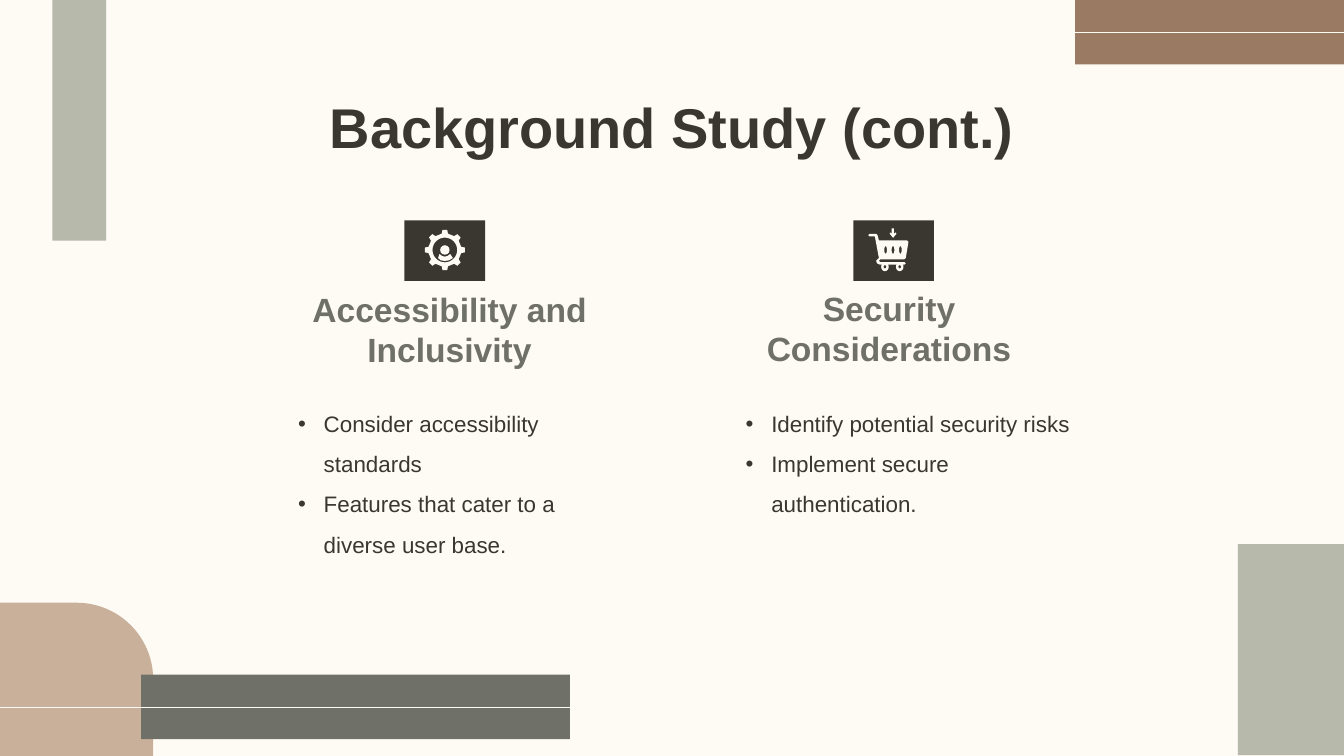
from math import cos, sin, pi

from lxml.etree import SubElement
from pptx import Presentation
from pptx.dml.color import RGBColor
from pptx.enum.shapes import MSO_CONNECTOR as Link, MSO_SHAPE as Kind
from pptx.enum.text import MSO_ANCHOR as Anchor, PP_ALIGN as Align
from pptx.oxml.ns import qn
from pptx.util import Inches, Pt

COLORS = {"cream": "FEFAF4", "tan": "C9B09A", "olive": "6F7067",
          "sage": "B7B9AB", "brown": "9A7A63", "ink": "3A3730"}
COLUMNS, ROWS, CELL = 100, 56.25, 0.1

TITLE = ("Background Study (cont.)", (7.9, 5.9, 84.2, 6.3))
TOPICS = [
    {"heading": "Accessibility and Inclusivity", "heading_at": (20.9, 20.8, 25.1, 7.7),
     "points": ["Consider accessibility standards",
                "Features that cater to a diverse user base."],
     "points_at": (21.2, 28.5, 26.5, 8.9), "tile_at": (30.1, 16.4, 6, 4.5)},
    {"heading": "Security Considerations", "heading_at": (53.6, 22.7, 25.1, 5.7),
     "points": ["Identify potential security risks",
                "Implement secure authentication."],
     "points_at": (54.5, 28.5, 27.5, 8.9), "tile_at": (63.5, 16.4, 6, 4.5)},
]
BLOCKS = [
    (Kind.ROUND_1_RECTANGLE, "tan", (0, 44.85, 11.4, 11.4)),
    (Kind.RECTANGLE, "olive", (10.5, 50.2, 31.9, 4.8)),
    (Kind.RECTANGLE, "sage", (92.1, 40.5, 7.9, 15.7)),
    (Kind.RECTANGLE, "brown", (80, 0, 20, 4.8)),
    (Kind.RECTANGLE, "sage", (3.9, 0, 4, 17.9)),
]
RULES = [(42.4, 0, 52.65), (100, 80, 2.4)]
STYLES = {
    "title": {"size": Pt(30), "bold": True, "color": "ink"},
    "heading": {"size": Pt(18), "bold": True, "color": "olive"},
    "point": {"size": Pt(12), "bold": False, "color": "ink"},
}

GEAR_CENTER, TEETH = (33.1, 18.6), 8
TOOTH = [(-0.5, 1.21), (-0.24, 1.24), (-0.15, 1.5), (0.15, 1.5), (0.24, 1.24)]
SMILE = [(32.7, 18.9), (32.9, 19.05), (33.1, 19.1), (33.3, 19.05), (33.5, 18.9),
         (33.7, 19.2), (33.4, 19.38), (33.1, 19.42), (32.8, 19.38), (32.6, 19.2)]
CART = [(64.7, 17.4), (65.2, 17.4), (65.3, 17.5), (65.4, 17.9), (67.5, 17.9),
        (67.6, 18), (67.4, 19.2), (67.3, 19.3), (65.5, 19.3), (65.4, 19.4),
        (65.5, 19.5), (67.3, 19.5), (67.4, 19.6), (67.3, 19.7), (65.5, 19.7),
        (65.25, 19.6), (65.2, 19.4), (65.4, 19.2), (65.1, 17.6), (64.7, 17.6),
        (64.6, 17.5)]
SLOTS, WHEELS = (65.9, 66.45, 67), (65.85, 66.95)
ARROW = [(66.35, 17), (66.5, 17), (66.5, 17.4), (66.65, 17.3), (66.7, 17.4),
         (66.45, 17.7), (66.2, 17.4), (66.25, 17.3), (66.35, 17.4)]


def grid(*cells):
    return [Inches(cell * CELL) for cell in cells]


def paint(shape, color):
    shape.shadow.inherit = False
    shape.fill.solid()
    shape.fill.fore_color.rgb = RGBColor.from_string(COLORS[color])
    shape.line.fill.background()


def block(kind, color, at):
    shape = slide.shapes.add_shape(kind, *grid(*at))
    paint(shape, color)
    return shape


def outline(*contours):
    (start, *rest), *inner = [[grid(*point) for point in contour]
                              for contour in contours]
    builder = slide.shapes.build_freeform(*start)
    builder.add_line_segments(rest)
    for first, *others in inner:
        builder.move_to(*first)
        builder.add_line_segments(others)
    paint(builder.convert_to_shape(), "cream")


def oval(x, y, across, down, steps=32):
    turns = [2 * pi * step / steps for step in range(steps)]
    return [(x + across * cos(turn), y + down * sin(turn)) for turn in turns]


def write(lines, at, style, anchor=Anchor.TOP, bulleted=False):
    frame = slide.shapes.add_textbox(*grid(*at)).text_frame
    frame.word_wrap, frame.vertical_anchor = True, anchor
    for side in ("left", "top", "right", "bottom"):
        setattr(frame, f"margin_{side}", Inches(0.1))
    for index, line in enumerate(lines):
        paragraph = frame.add_paragraph() if index else frame.paragraphs[0]
        paragraph.alignment = Align.LEFT if bulleted else Align.CENTER
        if bulleted:
            paragraph.line_spacing = 1.5
            properties = paragraph._p.get_or_add_pPr()
            properties.set("marL", str(Inches(0.19)))
            properties.set("indent", str(-Inches(0.19)))
            tint = SubElement(properties, qn("a:buClr"))
            SubElement(tint, qn("a:srgbClr"), val=COLORS[STYLES[style]["color"]])
            SubElement(properties, qn("a:buFont"), typeface="Arial")
            SubElement(properties, qn("a:buChar"), char="•")
        run = paragraph.add_run()
        run.text, run.font.name = line, "Arial"
        for key, value in STYLES[style].items():
            if key == "color":
                run.font.color.rgb = RGBColor.from_string(COLORS[value])
            else:
                setattr(run.font, key, value)


def draw_rule(start, end, row):
    rule = slide.shapes.add_connector(Link.STRAIGHT, *grid(start, row, end, row))
    rule.line.color.rgb = RGBColor.from_string(COLORS["cream"])
    rule.line.width = Pt(0.75)
    SubElement(rule._element.spPr, qn("a:effectLst"))


def draw_gear():
    x, y = GEAR_CENTER
    rim = []
    for tooth in range(TEETH):
        for offset, radius in TOOTH:
            turn = 2 * pi * (tooth + offset) / TEETH
            rim.append((x + radius * cos(turn), y + radius * sin(turn)))
    block(Kind.OVAL, "cream", (x - 0.35, y - 0.35, 0.7, 0.7))
    outline(rim, oval(x, y, 0.92, 0.92))
    outline(SMILE)


def draw_cart():
    outline(ARROW)
    outline(CART, *[oval(x, 18.6, 0.1, 0.28) for x in SLOTS])
    for x in WHEELS:
        outline(oval(x, 19.85, 0.28, 0.32), oval(x, 19.85, 0.1, 0.12))


deck = Presentation()
deck.slide_width, deck.slide_height = grid(COLUMNS, ROWS)
slide = deck.slides.add_slide(deck.slide_layouts[6])
slide.background.fill.solid()
slide.background.fill.fore_color.rgb = RGBColor.from_string(COLORS["cream"])

corner, *bands = [block(*entry) for entry in BLOCKS]
corner.adjustments[0] = 0.5
for entry in RULES:
    draw_rule(*entry)

title, title_at = TITLE
write([title], title_at, "title")
for topic, draw_icon in zip(TOPICS, (draw_gear, draw_cart)):
    write(topic["points"], topic["points_at"], "point", bulleted=True)
    write([topic["heading"]], topic["heading_at"], "heading", Anchor.BOTTOM)
    block(Kind.RECTANGLE, "ink", topic["tile_at"])
    draw_icon()

deck.save("out.pptx")
